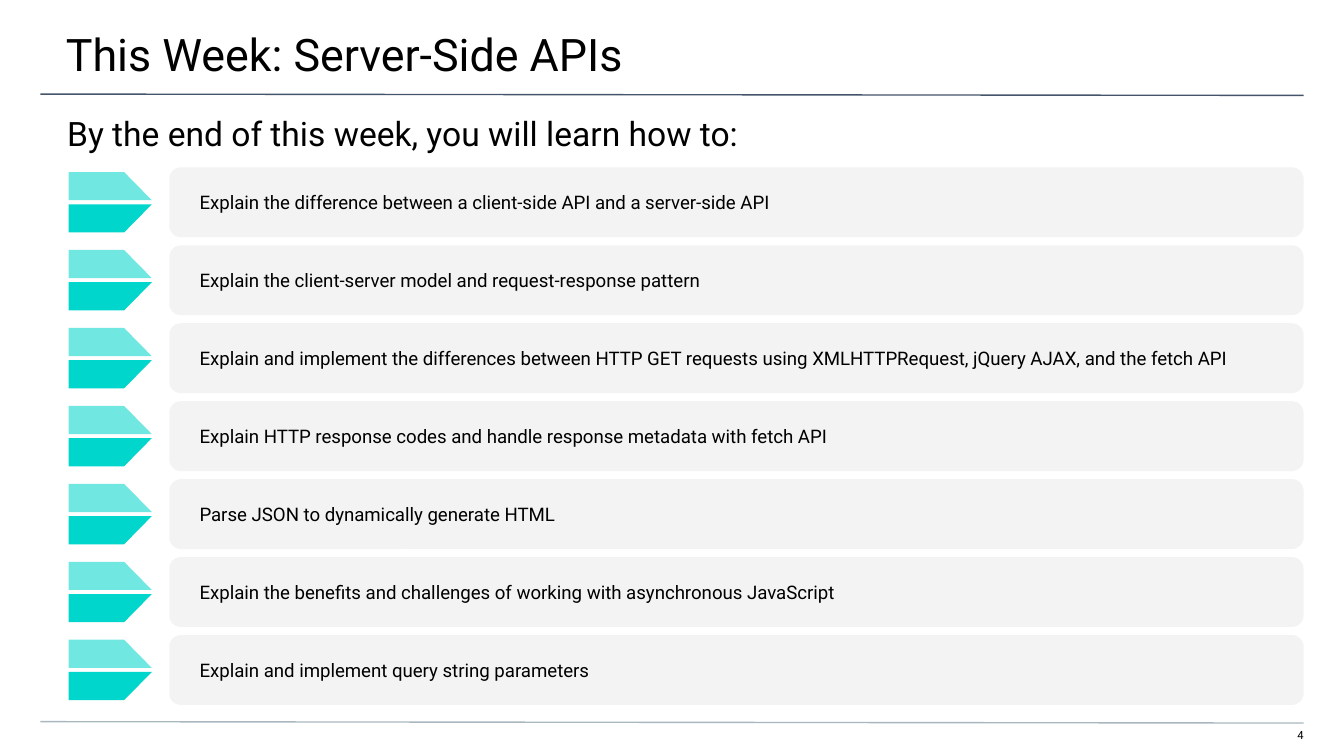
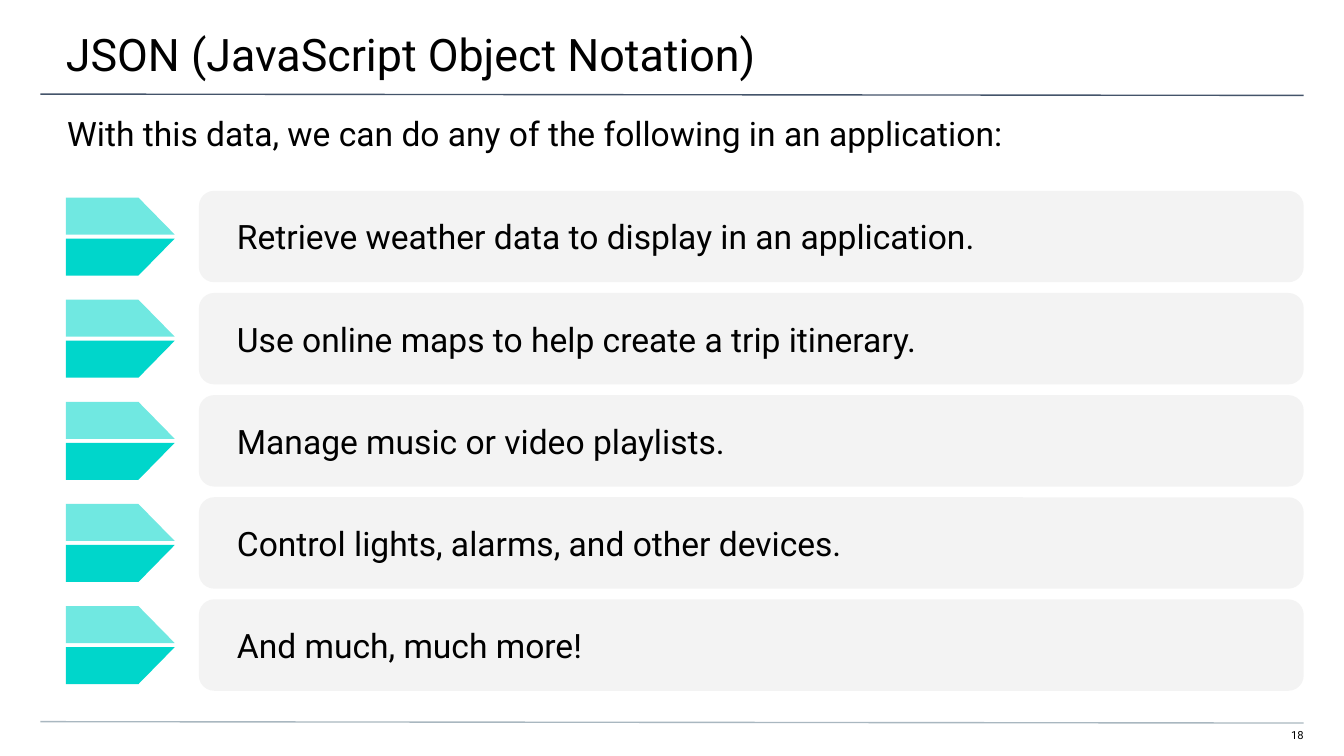
from lxml.etree import SubElement
from pptx import Presentation
from pptx.dml.color import RGBColor
from pptx.enum.shapes import MSO_CONNECTOR as CONN, MSO_SHAPE as SHAPE
from pptx.enum.text import MSO_ANCHOR as ANCHOR, MSO_AUTO_SIZE as FIT, PP_ALIGN as ALIGN
from pptx.oxml.ns import qn
from pptx.util import Inches, Pt

FONT = "Roboto"
BLACK, CARD, TEAL = "000000", "F3F3F3", "00D6CB"
RULES = [(7, "44546A"), (53.7, "A9B7C0")]

prs = Presentation()
prs.slide_width, prs.slide_height = Inches(10), Inches(5.625)
COL = prs.slide_width / 100
ROW = prs.slide_height / 56.25


def paint(fill, color):
    fill.solid()
    fill.fore_color.rgb = RGBColor.from_string(color)


def write(s, text, size=18, ins=(0, 0, 0, 0), align=ALIGN.LEFT, anchor=ANCHOR.TOP):
    tf = s.text_frame
    tf.word_wrap = True
    tf.auto_size = FIT.NONE
    tf.vertical_anchor = anchor
    tf.margin_left, tf.margin_right = int(ins[0] * COL), int(ins[2] * COL)
    tf.margin_top, tf.margin_bottom = int(ins[1] * ROW), int(ins[3] * ROW)
    p = tf.paragraphs[0]
    p.alignment = align
    r = p.add_run()
    r.text = text
    r.font.name, r.font.size = FONT, Pt(size)
    paint(r.font.fill, BLACK)


slides = [
    dict(
        number="4",
        title="This Week: Server-Side APIs",
        lead="By the end of this week, you will learn how to:",
        items=[
            "Explain the difference between a client-side API and a server-side API",
            "Explain the client-server model and request-response pattern",
            "Explain and implement the differences between HTTP GET requests using "
            "XMLHTTPRequest, jQuery AJAX, and the fetch API",
            "Explain HTTP response codes and handle response metadata with fetch API",
            "Parse JSON to dynamically generate HTML",
            "Explain the benefits and challenges of working with asynchronous JavaScript",
            "Explain and implement query string parameters",
        ],
        size=10, ins=(2, 1, 2, 1),
        top=12.45, pitch=5.8, card_x=12.6, card_h=5.2,
        arrow_x=5.1, arrow_w=6.2, half_h=2.1,
    ),
    dict(
        number="18",
        title="JSON (JavaScript Object Notation)",
        lead="With this data, we can do any of the following in an application:",
        items=[
            "Retrieve weather data to display in an application.",
            "Use online maps to help create a trip itinerary.",
            "Manage music or video playlists.",
            "Control lights, alarms, and other devices.",
            "And much, much more!",
        ],
        size=18, ins=(2.5, 1, 1, 1),
        top=14.2, pitch=7.6, card_x=14.8, card_h=6.8,
        arrow_x=4.9, arrow_w=8.1, half_h=2.75,
    ),
]
RIGHT, ARROW_GAP = 97, 0.3

for d in slides:
    slide = prs.slides.add_slide(prs.slide_layouts[5])
    shapes = slide.shapes

    for y, color in RULES:
        s = shapes.add_connector(CONN.STRAIGHT, int(3 * COL), int(y * ROW),
                                 int(RIGHT * COL), int((y + 0.1) * ROW))
        paint(s.line.fill, color)
        s.line.width = Pt(0.75)
        SubElement(s._element.spPr, qn("a:effectLst"))

    s = shapes.title
    s.left, s.top, s.width, s.height = 0, 0, prs.slide_width, int(5.8 * ROW)
    write(s, d["title"], size=24, ins=(4.9, 2, 3, 1))

    s = shapes.add_textbox(0, int(7.4 * ROW), prs.slide_width, int(4 * ROW))
    write(s, d["lead"], ins=(5, 1, 5, 0))

    s = shapes.add_textbox(int(94.1 * COL), int(54.2 * ROW), int(2.9 * COL), int(1.2 * ROW))
    write(s, d["number"], size=6, ins=(0, 0, 0, 1), align=ALIGN.RIGHT)

    left, right = d["arrow_x"], d["arrow_x"] + d["arrow_w"]
    shoulder = left + d["arrow_w"] * 2 / 3
    arrow_h = 2 * d["half_h"] + ARROW_GAP

    for i, item in enumerate(d["items"]):
        y = d["top"] + i * d["pitch"]
        s = shapes.add_shape(SHAPE.ROUNDED_RECTANGLE, int(d["card_x"] * COL), int(y * ROW),
                             int((RIGHT - d["card_x"]) * COL), int(d["card_h"] * ROW))
        s.shadow.inherit = False
        paint(s.fill, CARD)
        s.line.fill.background()
        write(s, item, size=d["size"], ins=d["ins"], anchor=ANCHOR.MIDDLE)

        arrow_top = y + (d["card_h"] - arrow_h) / 2
        arrow_bottom = arrow_top + arrow_h
        upper = (arrow_top, arrow_top + d["half_h"], 56)
        lower = (arrow_bottom, arrow_bottom - d["half_h"], 100)
        for outer, inner, opacity in (upper, lower):
            corners = [(left, inner), (right, inner), (shoulder, outer)]
            b = shapes.build_freeform(int(left * COL), int(outer * ROW))
            b.add_line_segments([(int(cx * COL), int(cy * ROW)) for cx, cy in corners])
            s = b.convert_to_shape()
            s.shadow.inherit = False
            paint(s.fill, TEAL)
            s.line.fill.background()
            if opacity < 100:
                clr = s._element.spPr.find(".//" + qn("a:srgbClr"))
                SubElement(clr, qn("a:alpha"), val=str(opacity * 1000))

prs.save("out.pptx")
